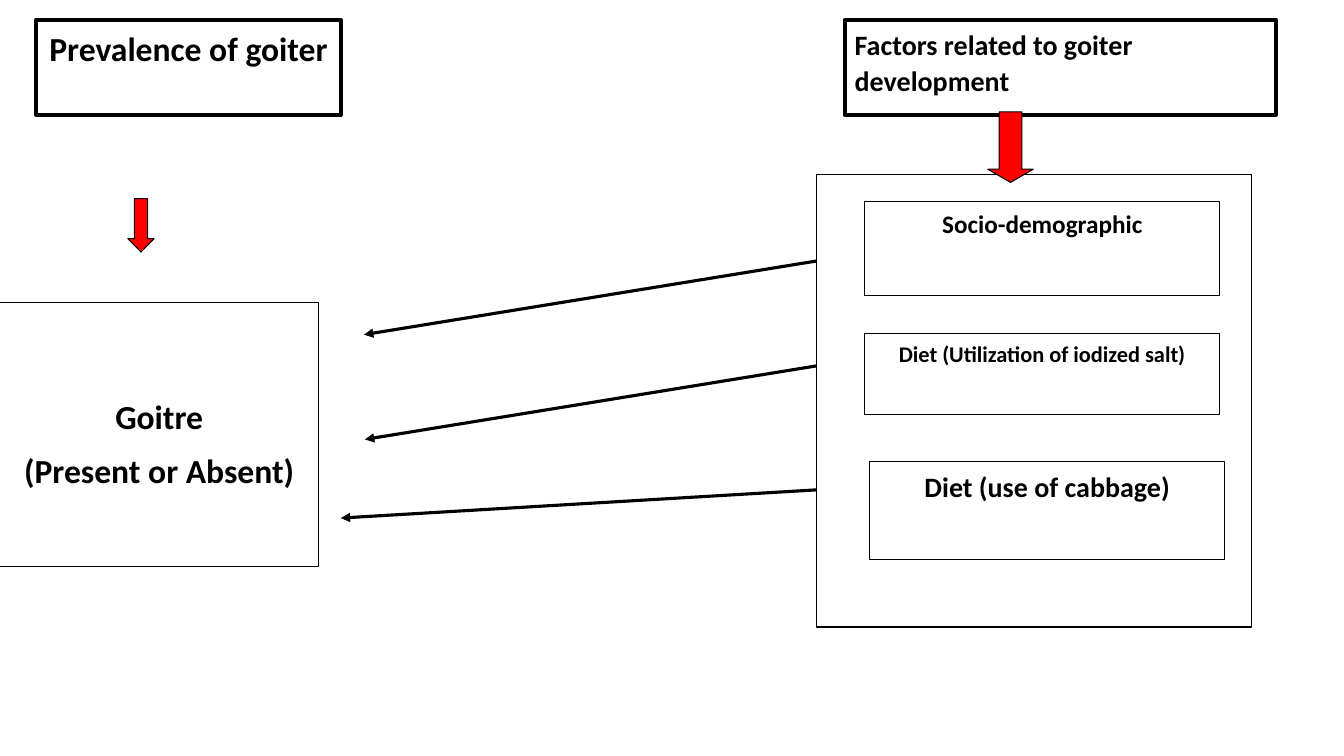
"""Build a conceptual framework slide linking goiter prevalence to its related factors."""
import pptx
import pptx.dml.color
import pptx.enum.shapes
import pptx.enum.text
import pptx.oxml.ns
import pptx.util
from lxml import etree

SHAPES = pptx.enum.shapes.MSO_SHAPE
ALIGN = pptx.enum.text.PP_ALIGN
BLACK, WHITE, RED = "000000", "FFFFFF", "FF0000"

presentation = pptx.Presentation()
presentation.slide_width = pptx.util.Inches(13.33)
presentation.slide_height = pptx.util.Inches(7.5)
column = presentation.slide_width / 100
row = presentation.slide_height / 100
slide = presentation.slides.add_slide(presentation.slide_layouts[6])


def paint(color_format, color):
    color_format.rgb = pptx.dml.color.RGBColor.from_string(color)


def add_shape(text, kind=SHAPES.RECTANGLE, place=(0, 0, 10, 10), size=20,
              align=ALIGN.CENTER, fill=WHITE, line_width=0.75, top_inset=0.05):
    left, top, width, height = place
    shape = slide.shapes.add_shape(kind, int(left * column), int(top * row),
                                   int(width * column), int(height * row))
    shape.shadow.inherit = False
    shape.fill.solid()
    paint(shape.fill.fore_color, fill)
    paint(shape.line.color, BLACK)
    shape.line.width = pptx.util.Pt(line_width)
    frame = shape.text_frame
    frame.word_wrap = True
    frame.vertical_anchor = pptx.enum.text.MSO_ANCHOR.TOP
    frame.margin_top = pptx.util.Inches(top_inset)
    frame.text = text
    for paragraph in frame.paragraphs:
        paragraph.alignment = align
        paragraph.line_spacing = 1.07
        paragraph.space_after = pptx.util.Pt(8)
        paragraph.font.name = "Calibri"
        paragraph.font.size = pptx.util.Pt(size)
        paragraph.font.bold = True
        paint(paragraph.font.color, BLACK)
    return shape


add_shape("Prevalence of goiter", place=(2.7, 2.67, 22.65, 12.53), size=24, line_width=3)
add_shape("Factors related to goiter development", place=(62.85, 2.67, 32.1, 12.53),
          align=ALIGN.LEFT, line_width=3)
add_shape("Goitre\n(Present or Absent)", place=(0, 40, 23.7, 34.93), size=24, top_inset=0.9)
add_shape("", place=(60.75, 23.07, 32.4, 59.87))

factors = [
    ("Socio-demographic", 64.35, 26.67, 12.4, 18),
    ("Diet (Utilization of iodized salt)", 64.35, 44.13, 10.67, 16),
    ("Diet (use of cabbage)", 64.72, 61.07, 12.93, 20),
]
for label, left, top, height, size in factors:
    add_shape(label, place=(left, top, 26.4, height), size=size)

down_arrows = [((9.52, 26.27, 1.95, 7.07), 0.51), ((73.5, 14.8, 3.38, 9.33), 0.29)]
for place, head_length in down_arrows:
    arrow = add_shape("", kind=SHAPES.DOWN_ARROW, place=place, fill=RED)
    arrow.adjustments[0] = 0.5
    arrow.adjustments[1] = head_length

influences = [(34.53, 27.08, 44.27), (48.4, 27.15, 58.13), (64.8, 25.35, 68.53)]
for start_row, end_column, end_row in influences:
    connector = slide.shapes.add_connector(
        pptx.enum.shapes.MSO_CONNECTOR.STRAIGHT, int(60.75 * column), int(start_row * row),
        int(end_column * column), int(end_row * row))
    paint(connector.line.color, BLACK)
    connector.line.width = pptx.util.Pt(2.25)
    properties = connector.element.spPr
    etree.SubElement(connector.line._get_or_add_ln(), pptx.oxml.ns.qn("a:tailEnd"), type="triangle")
    etree.SubElement(properties, pptx.oxml.ns.qn("a:effectLst"))

presentation.save("out.pptx")
